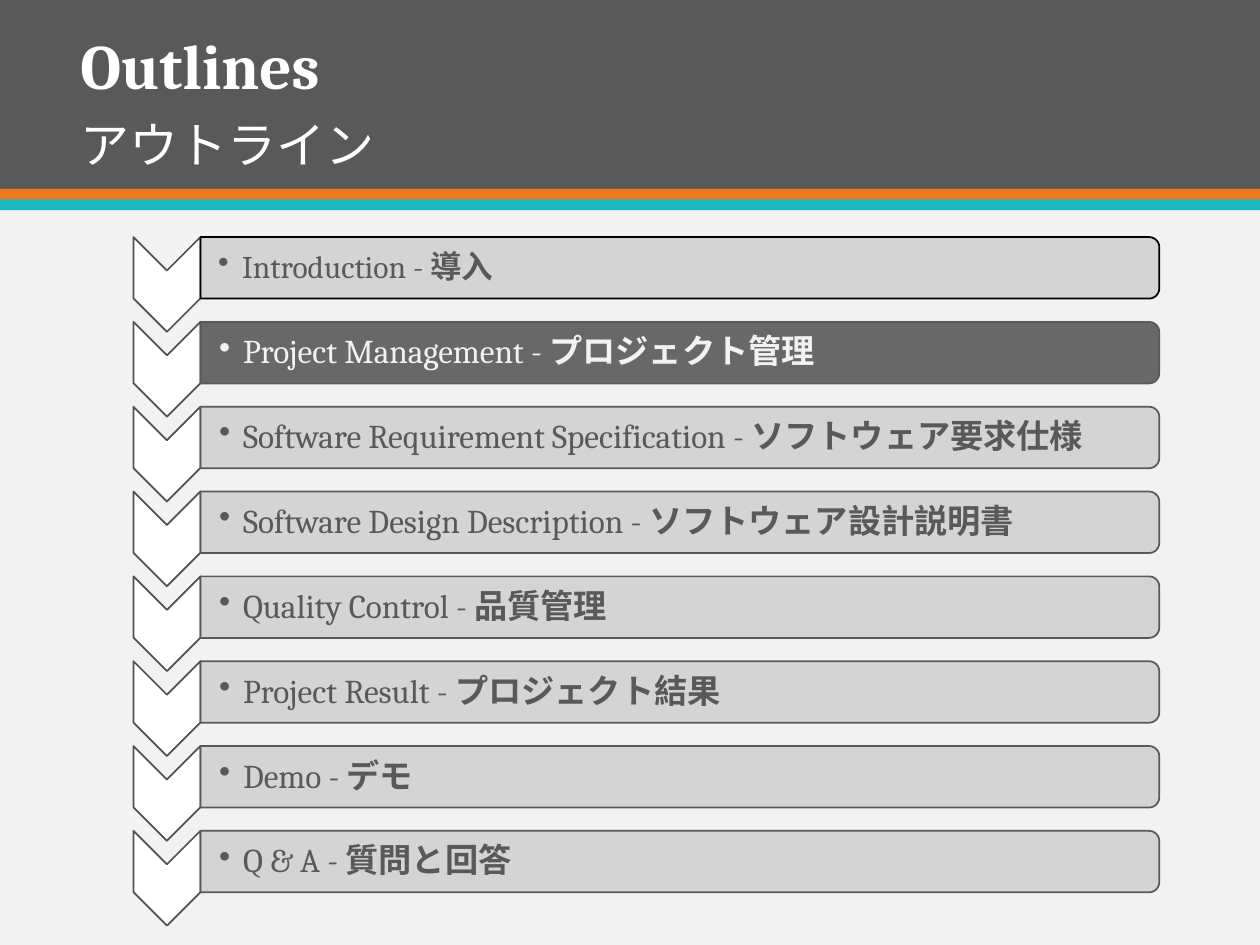
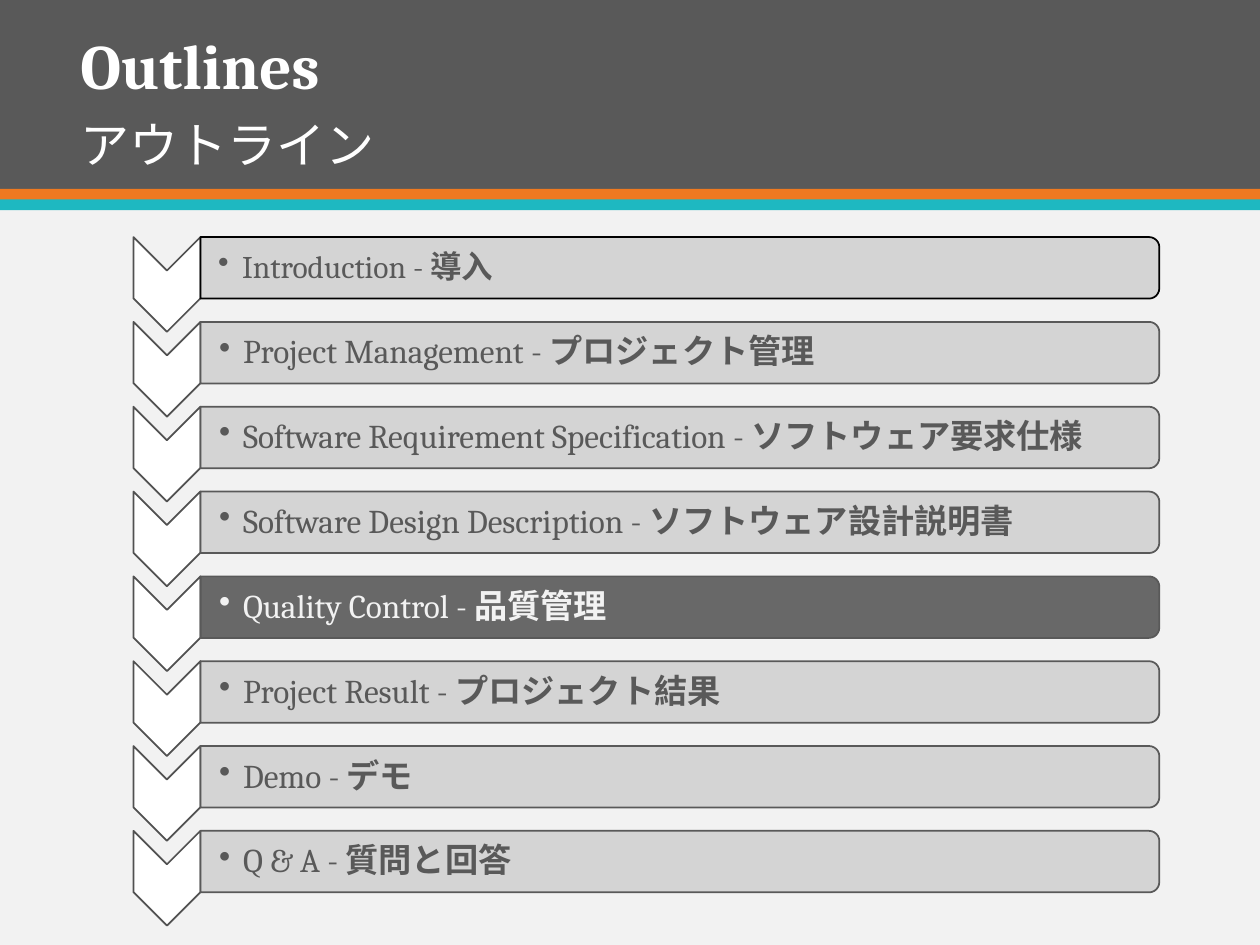
"""Build two agenda slides, each with its current topic highlighted."""
from lxml.etree import SubElement
from pptx import Presentation
from pptx.dml.color import RGBColor
from pptx.enum.shapes import MSO_SHAPE
from pptx.enum.text import MSO_ANCHOR, MSO_AUTO_SIZE, PP_ALIGN
from pptx.oxml.ns import qn
from pptx.util import Cm, Pt

HEAD = ("Outlines", "アウトライン")
TOPICS = [
    ("Introduction", "導入"),
    ("Project Management", "プロジェクト管理"),
    ("Software Requirement Specification", "ソフトウェア要求仕様"),
    ("Software Design Description", "ソフトウェア設計説明書"),
    ("Quality Control", "品質管理"),
    ("Project Result", "プロジェクト結果"),
    ("Demo", "デモ"),
    ("Q & A", "質問と回答"),
]
ACTIVE = ["Project Management", "Quality Control"]
COLORS = {
    "page": "F2F2F2", "dark": "595959", "orange": "EF7920", "teal": "1EB8C1",
    "white": "FFFFFF", "edge": "515151", "bar": "D1D1D1", "black": "000000",
}
BANDS = [("dark", 0, 3.81), ("orange", 3.81, 0.22), ("teal", 4.02, 0.22)]
FONT = "Cambria"
TOP, STEP = 4.78, 1.71
ARROW = {"left": 2.69, "width": 1.35, "height": 1.91}
BAR = {"left": 4.04, "width": 19.33, "height": 1.24}


def rgb(name):
    return RGBColor.from_string(COLORS[name])


def apply(item, values):
    for name, value in values.items():
        setattr(item, name, value)


def paint(shape, fill, line=None):
    shape.shadow.inherit = False
    shape.fill.solid()
    shape.fill.fore_color.rgb = rgb(fill)
    if line:
        shape.line.color.rgb = rgb(line)
        shape.line.width = Pt(1)
    else:
        shape.line.fill.background()


def turn(slide, kind, box, top, fill, line):
    wide, high = box["width"], box["height"]
    left = box["left"] + (wide - high) / 2
    shape = slide.shapes.add_shape(
        kind, Cm(left), Cm(top + (high - wide) / 2), Cm(high), Cm(wide))
    shape.rotation = 90
    paint(shape, fill, line)
    return shape


def write(para, text, size, color, bold=False):
    run = para.add_run()
    run.text = text
    apply(run.font, {"name": FONT, "size": Pt(size), "bold": bold})
    run.font.color.rgb = rgb(color)


def bullet(para):
    props = para._p.get_or_add_pPr()
    props.set("marL", str(Cm(0.48)))
    props.set("indent", str(-Cm(0.48)))
    SubElement(props, qn("a:buChar")).set("char", "•")


def topic(slide, index, pair, active):
    top = TOP + index * STEP
    first = index == 0
    turn(slide, MSO_SHAPE.CHEVRON, ARROW, top, "white", "edge")
    bar = turn(slide, MSO_SHAPE.ROUND_2_SAME_RECTANGLE, BAR, top,
               "dark" if active else "bar", "black" if first else "dark")
    tint = next(bar.element.iter(qn("a:srgbClr")))
    SubElement(tint, qn("a:alpha")).set("val", "90000")
    frame = slide.shapes.add_textbox(
        Cm(BAR["left"]), Cm(top + 0.07), Cm(19.25), Cm(1.12)).text_frame
    apply(frame, {
        "word_wrap": True, "vertical_anchor": MSO_ANCHOR.MIDDLE,
        "margin_left": Cm(0.36 if first else 0.38), "margin_right": Cm(0.03),
        "margin_top": Cm(0.03), "margin_bottom": Cm(0.03)})
    para = frame.paragraphs[0]
    apply(para, {"level": 1, "line_spacing": 0.9})
    bullet(para)
    size, color = 18 if first else 19, "page" if active else "dark"
    write(para, pair[0] + " - ", size, color)
    write(para, pair[1], size, color, True)


def heading(slide):
    title = slide.shapes.title
    apply(title, {"left": Cm(1.37), "top": Cm(1.83),
                  "width": Cm(20.02), "height": Cm(1.8)})
    apply(title.text_frame, {"vertical_anchor": MSO_ANCHOR.BOTTOM,
                             "auto_size": MSO_AUTO_SIZE.NONE,
                             "word_wrap": True})
    para = title.text_frame.paragraphs[0]
    apply(para, {"alignment": PP_ALIGN.LEFT, "line_spacing": 0.9})
    write(para, HEAD[1], 28, "white")
    frame = slide.shapes.add_textbox(
        Cm(1.37), Cm(0.41), Cm(5.64), Cm(1.8)).text_frame
    apply(frame, {"word_wrap": False,
                  "auto_size": MSO_AUTO_SIZE.SHAPE_TO_FIT_TEXT})
    write(frame.paragraphs[0], HEAD[0], 36, "white", True)


def dress(deck, layout, slide):
    layout.background.fill.solid()
    layout.background.fill.fore_color.rgb = rgb("page")
    for spot, (color, top, high) in enumerate(BANDS, 2):
        band = slide.shapes.add_shape(
            MSO_SHAPE.RECTANGLE, 0, Cm(top), deck.slide_width, Cm(high))
        paint(band, color)
        layout.shapes.element.insert(spot, band.element)


def main():
    deck = Presentation()
    apply(deck, {"slide_width": Cm(25.4), "slide_height": Cm(19.05)})
    layout = deck.slide_layouts.get_by_name("Title Only")
    slides = [deck.slides.add_slide(layout) for _ in ACTIVE]
    dress(deck, layout, slides[0])
    for slide, name in zip(slides, ACTIVE):
        for index, pair in enumerate(TOPICS):
            topic(slide, index, pair, pair[0] == name)
        heading(slide)
    deck.save("out.pptx")


main()
